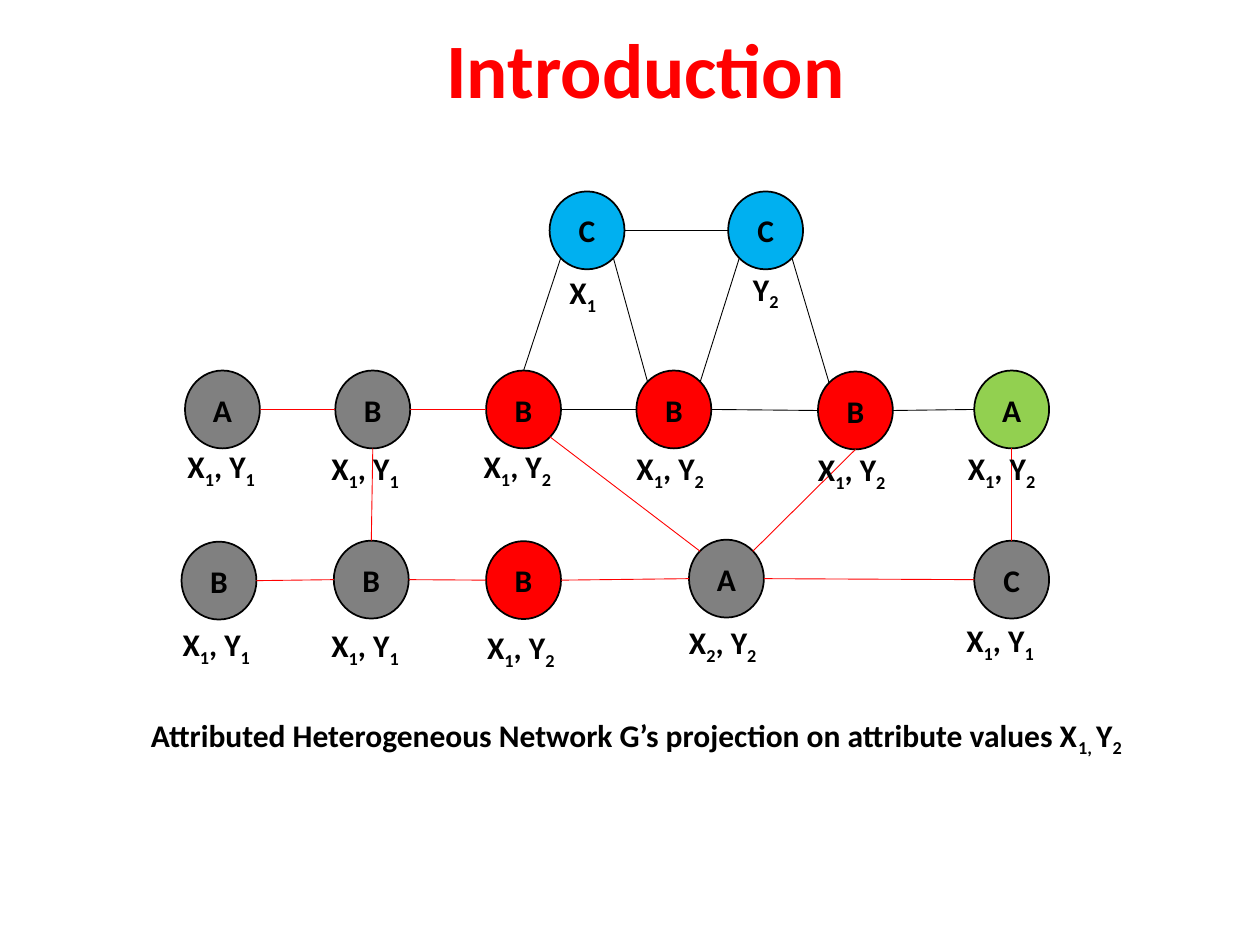
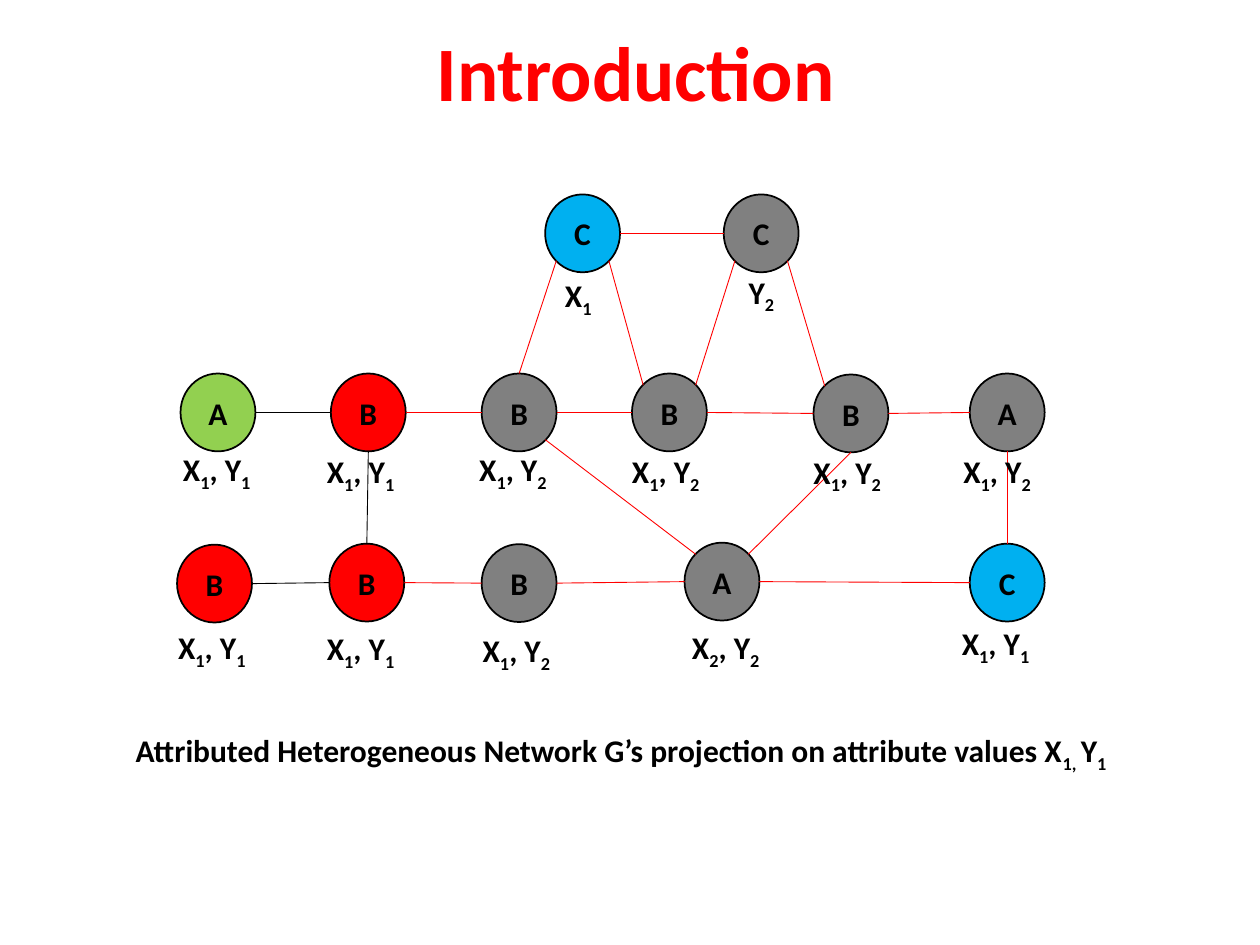
from collections import namedtuple

from lxml.etree import SubElement
from pptx import Presentation
from pptx.dml.color import RGBColor
from pptx.enum.shapes import MSO_CONNECTOR as Connector, MSO_SHAPE as Preset
from pptx.enum.text import MSO_ANCHOR as Anchor, MSO_AUTO_SIZE as AutoSize, PP_ALIGN as Align
from pptx.oxml.ns import qn
from pptx.util import Cm, Pt

BLACK = RGBColor(0x00, 0x00, 0x00)
RED = RGBColor(0xFF, 0x00, 0x00)
GRAY = RGBColor(0x80, 0x80, 0x80)
GREEN = RGBColor(0x92, 0xD0, 0x50)
BLUE = RGBColor(0x00, 0xB0, 0xF0)

LETTER_FILL = {"A": GREEN, "B": RED, "C": BLUE}
TITLE_FONT = {"name": "Calibri", "size": Pt(44), "bold": True}
BODY_FONT = {"name": "Calibri", "size": Pt(18), "bold": True}
CAPTION = "Attributed Heterogeneous Network G’s projection on attribute values X|1, |Y|"

NODE_WIDTH, NODE_HEIGHT = 1.51, 1.57
LABEL_WIDTH, LABEL_HEIGHT = 2.16, 1.02
NEAR, FAR = 0.15, 0.85
SITES = {
    "top": (0.5, 0), "left": (0, 0.5), "bottom": (0.5, 1), "right": (1, 0.5),
    "top left": (NEAR, NEAR), "top right": (FAR, NEAR),
    "bottom left": (NEAR, FAR), "bottom right": (FAR, FAR),
}

Node = namedtuple("Node", "letter left top attributes label_left label_top")
X1_Y1, X1_Y2, X2_Y2 = "X|1|, Y|1", "X|1|, Y|2", "X|2|, Y|2"
NODES = {
    "middle 1": Node("A", 0.3, 3.61, X1_Y1, -0.2, 1.42),
    "middle 2": Node("B", 3.33, 3.61, X1_Y1, -0.33, 1.45),
    "middle 3": Node("B", 6.37, 3.61, X1_Y2, -0.3, 1.42),
    "middle 4": Node("B", 9.4, 3.61, X1_Y2, -0.25, 1.45),
    "middle 5": Node("B", 13.06, 3.63, X1_Y2, -0.25, 1.45),
    "middle 6": Node("A", 16.21, 3.61, X1_Y2, -0.38, 1.45),
    "lower 1": Node("B", 0.23, 7.06, X1_Y1, -0.23, 1.55),
    "lower 2": Node("B", 3.3, 7.04, X1_Y1, -0.3, 1.6),
    "lower 3": Node("B", 6.37, 7.05, X1_Y2, -0.23, 1.63),
    "lower 4": Node("A", 10.46, 7.02, X2_Y2, -0.25, 1.55),
    "lower 5": Node("C", 16.21, 7.04, X1_Y1, -0.41, 1.5),
    "upper 1": Node("C", 7.65, 0, "X|1", 0.15, 1.52),
    "upper 2": Node("C", 11.25, 0, "Y|2", 0.25, 1.45),
}
ROW_LENGTHS = {"upper": 2, "middle": 6, "lower": 5}
EDGES = [
    (f"{row} {i}", "right", f"{row} {i + 1}", "left")
    for row, length in ROW_LENGTHS.items() for i in range(1, length)
] + [
    ("middle 3", "top", "upper 1", "bottom left"),
    ("upper 1", "bottom right", "middle 4", "top left"),
    ("middle 4", "top right", "upper 2", "bottom left"),
    ("upper 2", "bottom right", "middle 5", "top left"),
    ("middle 2", "bottom", "lower 2", "top"),
    ("middle 3", "bottom right", "lower 4", "top left"),
    ("lower 4", "top right", "middle 5", "bottom"),
    ("middle 6", "bottom", "lower 5", "top"),
]


def set_values(target, values):
    for name, value in values.items():
        setattr(target, name, value)


def write_text(shape, text, font, color=BLACK, align=Align.LEFT):
    paragraph = shape.text_frame.paragraphs[0]
    paragraph.alignment = align
    for index, part in enumerate(text.split("|")):
        run = paragraph.add_run()
        run.text = part
        set_values(run.font, font)
        run.font.color.rgb = color
        if index % 2:
            run._r.get_or_add_rPr().set("baseline", "-25000")
    return paragraph


def add_text(shapes, box, text, font, color=BLACK, align=Align.LEFT, auto_size=AutoSize.SHAPE_TO_FIT_TEXT):
    shape = shapes.add_textbox(*map(Cm, box))
    set_values(shape.text_frame, {"word_wrap": True, "auto_size": auto_size})
    return write_text(shape, text, font, color, align)


def add_title(slide, left, top):
    paragraph = add_text(slide.shapes, (left, top, 26.04, 1.83), "Introduction",
                         TITLE_FONT, RED, Align.CENTER, AutoSize.NONE)
    paragraph.line_spacing = 0.8


def add_caption(slide, left, top, value):
    add_text(slide.shapes, (left, top, 23.62, 1.02), CAPTION + value, BODY_FONT, align=Align.CENTER)


def add_node(shapes, node, left, top, selected):
    shape = shapes.add_shape(Preset.OVAL, Cm(left + node.left), Cm(top + node.top),
                             Cm(NODE_WIDTH), Cm(NODE_HEIGHT))
    shape.shadow.inherit = False
    shape.fill.solid()
    shape.fill.fore_color.rgb = LETTER_FILL[node.letter] if selected else GRAY
    shape.line.color.rgb = BLACK
    shape.line.width = Pt(1)
    shape.text_frame.vertical_anchor = Anchor.MIDDLE
    write_text(shape, node.letter, BODY_FONT, align=Align.CENTER)


def site_point(node, site, left, top):
    across, down = SITES[site]
    return Cm(left + node.left + across * NODE_WIDTH), Cm(top + node.top + down * NODE_HEIGHT)


def add_edge(shapes, start, end, color):
    connector = shapes.add_connector(Connector.STRAIGHT, *start, *end)
    connector.line.color.rgb = color
    connector.line.width = Pt(0.5)
    SubElement(connector._element.spPr, qn("a:effectLst"))


def add_network(slide, left, top, nodes, selected):
    shapes = slide.shapes.add_group_shape().shapes
    for name, node in nodes.items():
        add_node(shapes, node, left, top, name in selected)
    for start, start_site, end, end_site in EDGES:
        add_edge(shapes, site_point(nodes[start], start_site, left, top),
                 site_point(nodes[end], end_site, left, top),
                 BLACK if {start, end} <= selected else RED)
    for node in nodes.values():
        box = (left + node.left + node.label_left, top + node.top + node.label_top,
               LABEL_WIDTH, LABEL_HEIGHT)
        add_text(shapes, box, node.attributes, BODY_FONT)


def add_projection_slide(presentation, title_at, caption_at, network_at, value, nodes, selected):
    slide = presentation.slides.add_slide(presentation.slide_layouts[6])
    add_title(slide, *title_at)
    add_caption(slide, *caption_at, value)
    add_network(slide, *network_at, nodes, selected)


def main():
    presentation = Presentation()
    set_values(presentation, {"slide_width": Cm(25.4), "slide_height": Cm(19.05)})
    add_projection_slide(
        presentation, (0, 0.66), (1.02, 14.3), (3.43, 3.86), "2", NODES,
        {"upper 1", "upper 2", "middle 3", "middle 4", "middle 5", "middle 6", "lower 3"})
    moved_label = NODES["lower 4"]._replace(label_left=-0.1, label_top=1.6)
    add_projection_slide(
        presentation, (-0.2, 0.74), (0.71, 14.61), (3.34, 3.92), "1", {**NODES, "lower 4": moved_label},
        {"upper 1", "middle 1", "middle 2", "lower 1", "lower 2", "lower 5"})
    presentation.save("out.pptx")


if __name__ == "__main__":
    main()
